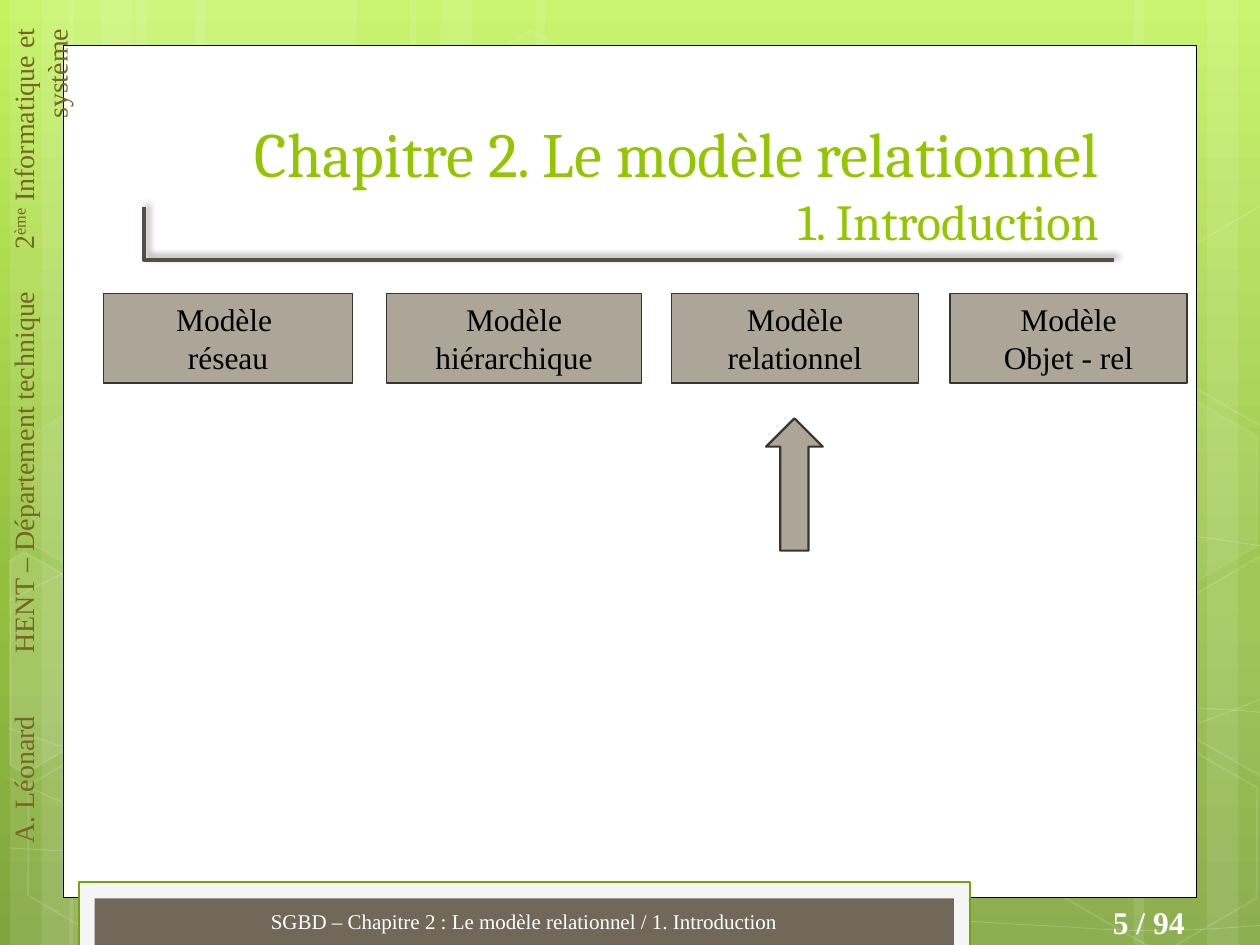
from copy import deepcopy
from lxml.etree import SubElement as Sub
from pptx import Presentation
from pptx.dml.color import RGBColor as Rgb
from pptx.enum.shapes import MSO_SHAPE as Kind
from pptx.enum.text import MSO_ANCHOR as Anchor, MSO_AUTO_SIZE as Auto, PP_ALIGN as Align
from pptx.oxml.ns import qn
from pptx.util import Inches, Pt

SERIF = "Times New Roman"
STRIPES = [(1.08, 1.75), (0.08, 0.5), (0.33, 0.83), (1.55, 1.75), (0.55, 0.5), (0.8, 0.83),
           (7.33, 1.75), (9.58, 0.5), (9, 0.83), (4.25, 3.08), (3.25, 0.5), (3.5, 0.83)]
CURVES = [
    [(0.07, 6.73), (0.61, 6.76), (1.15, 6.79), (1.9, 6.78), (2.65, 6.77), (3.58, 6.75),
     (4.58, 6.65), (5.58, 6.55), (7, 6.36), (7.92, 6.17), (8.83, 5.98), (9.77, 5.68),
     (10.07, 5.51)],
    [(0.07, 4.77), (0.36, 4.61), (0.65, 4.46), (1.21, 4.31), (1.78, 4.16), (2.59, 3.94),
     (3.47, 3.87), (4.36, 3.8), (5.44, 3.79), (6.54, 3.87), (7.64, 3.95), (9.47, 4.26),
     (10.07, 4.34)],
    [(0.06, 6.17), (1.27, 6.72), (2.47, 7.27), (3.34, 7.49)],
    [(0.07, 5.78), (0.38, 5.89), (0.7, 6), (1.28, 6.16), (1.86, 6.31), (2.73, 6.56),
     (3.57, 6.73), (4.4, 6.9), (5.45, 7.08), (6.28, 7.18), (7.11, 7.29), (8, 7.33),
     (8.53, 7.36), (9.05, 7.4), (9.19, 7.38), (9.45, 7.38), (9.71, 7.37), (9.89, 7.35),
     (10.07, 7.34)],
    [(2.42, 7.49), (2.6, 7.29), (2.78, 7.09), (3.02, 6.91), (3.26, 6.73), (3.6, 6.53),
     (3.88, 6.39), (4.16, 6.25), (4.33, 6.19), (4.7, 6.09), (5.06, 5.99), (5.73, 5.85),
     (6.08, 5.78), (6.44, 5.71), (6.49, 5.71), (6.8, 5.69), (7.11, 5.66), (7.6, 5.63),
     (7.94, 5.62), (8.29, 5.61), (8.86, 5.62), (8.86, 5.62), (9.53, 5.62),
     (9.71, 5.63), (9.88, 5.64), (9.97, 5.65), (10.06, 5.66), (10.03, 5.65), (10.06, 5.66)],
]
CELLS = [(3.34, 0.36, 4, 8), (4.97, 5.89, 6, 12), (0.11, 5.91, 0, 12), (0.14, 3.12, 7, 8),
         (1.74, 5.92, 0, 12), (7.53, 4.53, 10, 12), (8.34, 5.93, 0, 12), (8.34, 3.14, 7, 8)]
PARTS = [
    ([(0.08, 4.45), (0.19, 4.38), (0.96, 4.82), (0.95, 5.7), (0.2, 6.14), (0.08, 6.07)], 10),
    ([(9.26, 4.85), (10.01, 4.41), (10.09, 4.46), (10.09, 6.13), (10.02, 6.17), (9.26, 5.73)], 4),
    ([(9.26, 2.07), (10.01, 1.63), (10.1, 1.68), (10.09, 3.35), (10.02, 3.39), (9.26, 2.95)], 0),
]


def tint(code):
    return Rgb.from_string(code)


def paint(fill, code, alpha=100):
    if not code or not alpha:
        fill.background()
        return
    fill.solid()
    fill.fore_color.rgb = tint(code)
    if alpha < 100:
        tone = fill._xPr.find(qn("a:solidFill"))[0]
        Sub(tone, qn("a:alpha"), val=str(alpha * 1000))


def style(shape, fill=None, alpha=100, line=None, width=1, fade=100):
    shape.shadow.inherit = False
    paint(shape.fill, fill, alpha)
    paint(shape.line.fill, line, fade)
    if line:
        shape.line.width = Pt(width)
    return shape


def form(slide, kind, x, y, w, h, **look):
    shape = slide.shapes.add_shape(kind, Inches(x), Inches(y), Inches(w), Inches(h))
    return style(shape, **look)


def trace(slide, x, y, dots, close=False, **look):
    dots = [(Inches(x + a), Inches(y + b)) for a, b in dots]
    pen = slide.shapes.build_freeform(*dots[0])
    pen.add_line_segments(dots[1:], close=close)
    return style(pen.convert_to_shape(), **look)


def bend(shape, flat=21):
    legs = list(shape._element.iter(qn("a:lnTo")))
    legs = legs[:flat] + legs[flat + 1:]
    for i in range(0, len(legs), 3):
        first, *rest = legs[i:i + 3]
        curve = first.makeelement(qn("a:cubicBezTo"))
        first.addprevious(curve)
        for leg in (first, *rest):
            curve.append(leg[0])
            leg.getparent().remove(leg)


def write(frame, text, size=18, color="000000", font=SERIF, bold=False,
          align=Align.CENTER, anchor=Anchor.TOP, base=0, gap=0):
    frame.word_wrap = True
    frame.auto_size = Auto.NONE
    frame.vertical_anchor = anchor
    for i, row in enumerate(text.split("\n")):
        para = frame.add_paragraph() if i else frame.paragraphs[-1]
        para.alignment = align
        run = para.add_run()
        run.text = row
        run.font.size, run.font.name, run.font.bold = Pt(size), font, bold
        run.font.color.rgb = tint(color)
        if base:
            run.font._rPr.set("baseline", str(base * 1000))
        if gap:
            run.font._rPr.set("spc", str(gap * 100))


def label(slide, x, y, w, h):
    return slide.shapes.add_textbox(Inches(x), Inches(y), Inches(w), Inches(h)).text_frame


def shade(slide):
    fill = slide.background.fill
    fill.gradient()
    fill.gradient_angle = 270
    stop = fill.gradient_stops[0]._gs
    stop.addnext(deepcopy(stop))
    tones = [(0, "C3F35F"), (0.62, "93BF3F"), (1, "81A53E")]
    for stop, (place, code) in zip(fill.gradient_stops, tones):
        stop.position = place
        stop.color.rgb = tint(code)


def decor(slide, x, y, h):
    for left, w in STRIPES:
        form(slide, Kind.RECTANGLE, x + left, y, w, h, fill="FFFFFF", alpha=10)
    for knots in CURVES:
        bend(trace(slide, x, y, knots, line="FFFFFF", width=0.5, fade=20))
    for left, top, alpha, fade in CELLS:
        cell = form(slide, Kind.HEXAGON, x + left, y + top, 1.75, 1.52,
                    fill="FFFFFF", alpha=alpha, line="FFFFFF", fade=fade)
        cell.adjustments[0] = 0.285
        cell.rotation = 30
    for dots, alpha in PARTS:
        trace(slide, x, y, dots, True, fill="FFFFFF", alpha=alpha, line="FFFFFF", fade=12)


def side(slide, x, y, w, h):
    frame = label(slide, x, y, w, h)
    frame._txBody.bodyPr.set("vert", "vert270")
    runs = [("A. Léonard", {}), (" ", {"gap": 32}), ("HENT – Département technique", {}),
            (" ", {"gap": 20}), ("2", {}), ("ème", {"base": 30}),
            (" Informatique et système", {})]
    for text, look in runs:
        write(frame, text, size=16, color="776627", align=Align.RIGHT, **look)


def foot(slide, x, y, w):
    form(slide, Kind.RECTANGLE, x, y, w, 0.51, fill="F5F5F5", line="74A510", width=1.25)
    form(slide, Kind.RECTANGLE, x + 0.12, y + 0.13, w - 0.25, 0.38, fill="71685A")
    write(label(slide, x + 0.12, y + 0.11, w - 0.25, 0.4),
          "SGBD – Chapitre 2 : Le modèle relationnel / 1. Introduction",
          size=12, color="FFFFFF", anchor=Anchor.MIDDLE)
    write(label(slide, x + 7.58, y + 0.12, 1.29, 0.4), "5 / 94",
          color="FFFFFF", bold=True, align=Align.RIGHT)


def head(slide, x, y, w, h):
    rule = trace(slide, x, y, [(0, 0.85), (0, 1.27), (7.7, 1.27)], line="554E44", width=2.25)
    glow = Sub(rule._element.spPr.find(qn("a:effectLst")), qn("a:outerShdw"),
               blurRad=str(Pt(4)), dist=str(Pt(3)), dir="18900000", algn="bl", rotWithShape="0")
    Sub(Sub(glow, qn("a:srgbClr"), val="000000"), qn("a:alpha"), val="40000")
    title = slide.shapes.title
    title.left, title.top, title.width, title.height = map(Inches, (x, y, w, h))
    slide.shapes._spTree.append(title._element)
    look = dict(color="94C600", font="Cambria", align=Align.RIGHT, anchor=Anchor.BOTTOM)
    write(title.text_frame, "Chapitre 2. Le modèle relationnel", size=36, **look)
    title.text_frame.paragraphs[0].add_line_break()
    write(title.text_frame, "1. Introduction", size=28.8, **look)


def models(slide, x, y, h):
    look = dict(fill="ADA598", line="39342D")
    boxes = [("Modèle \nréseau", 0, 1.98), ("Modèle hiérarchique", 2.25, 2.02),
             ("Modèle relationnel", 4.51, 1.96), ("Modèle\nObjet - rel", 6.72, 1.88)]
    for text, left, w in boxes:
        box = form(slide, Kind.RECTANGLE, x + left, y, w, h, width=0.75, **look)
        write(box.text_frame, text)
    form(slide, Kind.UP_ARROW, x + 5.26, y + 0.99, 0.45, 1.05, width=1.25, **look)


def main():
    deck = Presentation()
    deck.slide_width, deck.slide_height = Inches(10), Inches(7.5)
    slide = deck.slides.add_slide(deck.slide_layouts[5])
    shade(slide)
    decor(slide, 0, 0, 7.5)
    form(slide, Kind.RECTANGLE, 0.5, 0.36, 9, 6.76, fill="FFFFFF", line="000000", width=0.5)
    foot(slide, 0.63, 7, 7.07)
    side(slide, 0, 0.13, 0.47, 7.36)
    head(slide, 1.14, 0.79, 7.68, 1.25)
    models(slide, 0.82, 2.33, 0.71)
    deck.save("out.pptx")


if __name__ == "__main__":
    main()
